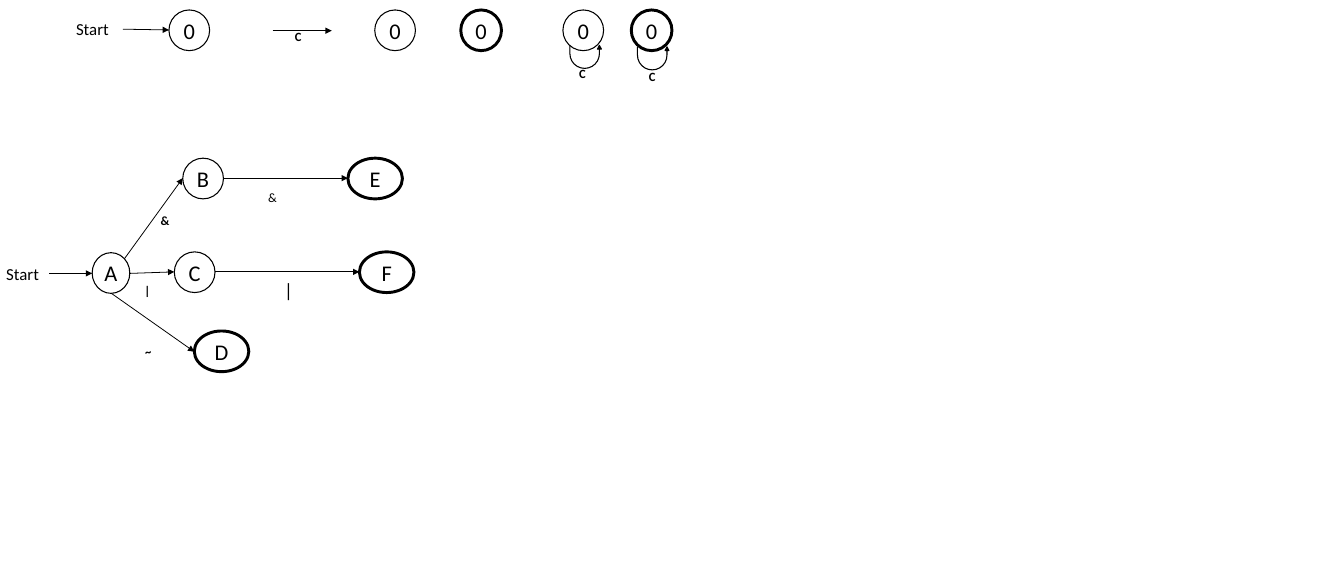
from lxml import etree
from pptx import Presentation
from pptx import util as u
from pptx.dml.color import RGBColor
from pptx.enum import shapes, text
from pptx.oxml import ns

PX = 9144  # 100 px to the inch
COLORS = {"ink": "000000", "paper": "FFFFFF"}
FONT = "Calibri"
STATE = 53  # diameter of a round state
FINAL = 71  # width of an oval final state


def color(name):
    return RGBColor.from_string(COLORS[name])


def px(*lengths):
    return [u.Emu(length * PX) for length in lengths]


def write(shape, words, size, bold=False, align=text.PP_ALIGN.LEFT,
          anchor=text.MSO_ANCHOR.TOP, insets=(9, 5, 0, 5)):
    frame = shape.text_frame
    frame.word_wrap = True
    frame.vertical_anchor = anchor
    (frame.margin_left, frame.margin_top,
     frame.margin_right, frame.margin_bottom) = px(*insets)
    para = frame.paragraphs[0]
    para.alignment = align
    span = para.add_run()
    span.text = words
    span.font.name, span.font.size, span.font.bold = FONT, u.Pt(size), bold
    span.font.color.rgb = color("ink")


def label(page, words, left, top, width=22, height=30, size=11.8, bold=True):
    box = page.shapes.add_textbox(*px(left, top, width, height))
    write(box, words, size, bold)


def start_label(page, left, top):
    label(page, "Start", left, top, 70, 37, size=15.8, bold=False)


def state(page, name, left, top, width=STATE, final=False):
    circle = page.shapes.add_shape(shapes.MSO_SHAPE.OVAL,
                                   *px(left, top, width, STATE))
    circle.shadow.inherit = False
    circle.fill.background()
    circle.line.color.rgb = color("ink")
    circle.line.width = u.Pt(2.75 if final else 1)
    write(circle, name, 21, align=text.PP_ALIGN.CENTER,
          anchor=text.MSO_ANCHOR.MIDDLE, insets=(0, 0, 0, 0))


def arrow(page, start, end):
    line = page.shapes.add_connector(shapes.MSO_CONNECTOR.STRAIGHT,
                                     *px(*start, *end))
    line.line.color.rgb = color("ink")
    line.line.width = u.Pt(0.75)
    etree.SubElement(line.line._get_or_add_ln(), ns.qn("a:tailEnd"),
                     type="triangle")
    etree.SubElement(line._element.spPr, ns.qn("a:effectLst"))


def loop(page, left, top):
    """Draw an arrow that leaves a state and comes back to it from below."""
    turn = page.shapes.add_shape(shapes.MSO_SHAPE.U_TURN_ARROW,
                                 *px(left, top, 41, 30))
    for index, value in enumerate((0, 0.085, 0.164, 0.717, 1)):
        turn.adjustments[index] = value
    turn.rotation = 180
    turn._element.spPr.find(ns.qn("a:xfrm")).set("flipH", "1")
    turn.shadow.inherit = False
    turn.fill.solid()
    turn.fill.fore_color.rgb = color("ink")
    turn.line.color.rgb = color("ink")
    turn.line.width = u.Pt(1)


def draw_legend(page, left, top):
    """Show the symbols: start, transition, states and self-loops."""
    start_label(page, left, top + 7)
    arrow(page, (left + 70, top + 25), (left + 130, top + 26))
    arrow(page, (left + 265, top + 27), (left + 342, top + 27))
    label(page, "C", left + 285, top + 20)
    for offset, final in ((130, False), (398, False), (510, True),
                          (643, False), (732, True)):
        state(page, "0", left + offset, top, final=final)
    for offset, drop, label_offset, label_drop in ((652, 46, 655, 68),
                                                   (740, 48, 746, 72)):
        loop(page, left + offset, top + drop)
        label(page, "C", left + label_offset, top + label_drop)


def draw_automaton(page, left, top):
    start_label(page, left - 1, top + 132)
    state(page, "A", left + 120, top + 123, width=49)
    for name, x, y in (("B", 238, 0), ("C", 227, 122)):
        state(page, name, left + x, top + y)
    for name, x, y in (("D", 253, 225), ("E", 453, 0), ("F", 468, 122)):
        state(page, name, left + x, top + y, FINAL, final=True)

    for x1, y1, x2, y2 in ((64, 150, 120, 150),    # Start to A
                           (162, 131, 238, 26),    # A to B
                           (169, 150, 227, 148),   # A to C
                           (145, 176, 253, 252),   # A to D
                           (291, 26, 453, 26),     # B to E
                           (280, 148, 468, 148)):  # C to F
        arrow(page, (left + x1, top + y1), (left + x2, top + y2))

    for symbol, x, y in (("&", 200, 66), ("|", 179, 157), ("~", 180, 237)):
        label(page, symbol, left + x, top + y)
    label(page, "&", left + 340, top + 36, 31, 30, size=12, bold=False)
    label(page, "|", left + 361, top + 151, 22, 40, size=18, bold=False)


def main():
    deck = Presentation()
    deck.slide_width, deck.slide_height = px(1750, 750)
    page = deck.slides.add_slide(deck.slide_layouts[6])
    page.background.fill.solid()
    page.background.fill.fore_color.rgb = color("paper")
    draw_legend(page, 90, 13)
    draw_automaton(page, 0, 206)
    deck.save("out.pptx")


if __name__ == "__main__":
    main()
